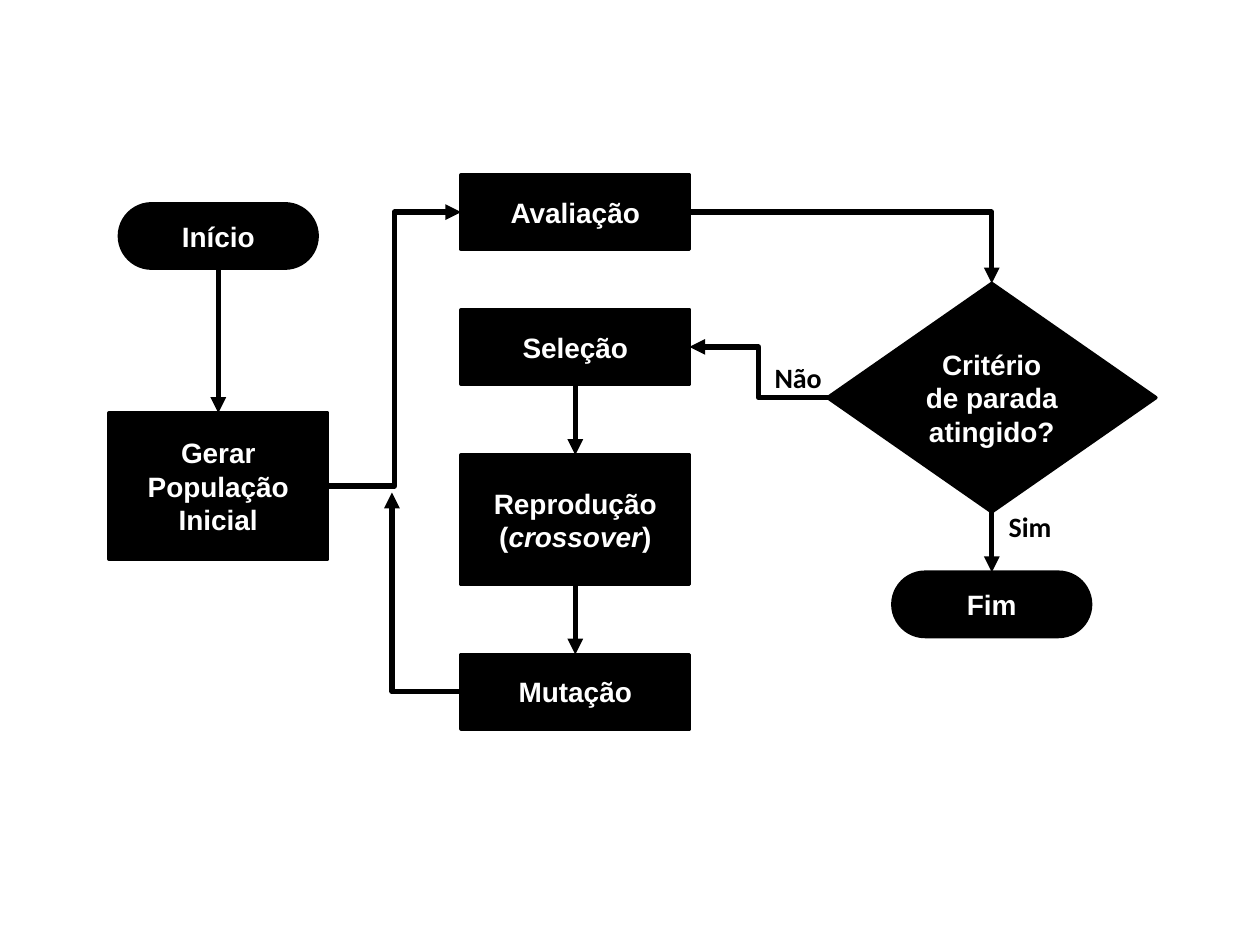
"""Flowchart of a genetic algorithm, from the initial population to the stopping test."""
from lxml import etree
from pptx import Presentation
from pptx.dml.color import RGBColor
from pptx.enum.shapes import MSO_CONNECTOR, MSO_SHAPE
from pptx.enum.text import MSO_ANCHOR, PP_ALIGN
from pptx.oxml.ns import qn
from pptx.util import Pt

PROCESS = MSO_SHAPE.FLOWCHART_PROCESS
DECISION = MSO_SHAPE.FLOWCHART_DECISION
TERMINAL = MSO_SHAPE.ROUNDED_RECTANGLE
STRAIGHT, ELBOW = MSO_CONNECTOR.STRAIGHT, MSO_CONNECTOR.ELBOW
MIDDLE, CENTER = MSO_ANCHOR.MIDDLE, PP_ALIGN.CENTER
TOP, LEFT, BOTTOM, RIGHT = range(4)

COLORS = {"ink": "000000", "paper": "FFFFFF"}
TERMINAL_SIZE = (113, 36.75)
STEP_HEIGHT = 42.5


def color(name):
    return RGBColor.from_string(COLORS[name])


def write(paragraph, runs, font, color_name):
    for text, italic in runs:
        run = paragraph.add_run()
        run.text = text
        if italic:
            run.font.italic = True
    paragraph.font.name = font
    paragraph.font.size = Pt(16)
    paragraph.font.bold = True
    paragraph.font.color.rgb = color(color_name)


def node(slide, kind, center, top, width, height, *runs):
    shape = slide.shapes.add_shape(
        kind, Pt(center - width / 2), Pt(top), Pt(width), Pt(height))
    shape.shadow.inherit = False
    shape.fill.solid()
    shape.fill.fore_color.rgb = color("ink")
    shape.line.color.rgb = color("ink")
    shape.line.width = Pt(2)
    if kind == TERMINAL:
        shape.adjustments[0] = 0.5
    frame = shape.text_frame
    frame.word_wrap = True
    frame.vertical_anchor = MIDDLE
    frame.paragraphs[0].alignment = CENTER
    write(frame.paragraphs[0], runs, "Arial", "paper")
    return shape


def label(slide, left, top, width, text):
    frame = slide.shapes.add_textbox(Pt(left), Pt(top), Pt(width), Pt(26.5)).text_frame
    frame.word_wrap = True
    write(frame.paragraphs[0], [(text, False)], "Calibri", "ink")


def arrow(slide, kind, source, source_side, target=None, target_side=None,
          tip=(0, 0), one_bend=False):
    link = slide.shapes.add_connector(kind, 0, 0, Pt(tip[0]), Pt(tip[1]))
    link.begin_connect(source, source_side)
    if target is not None:
        link.end_connect(target, target_side)
    link.line.color.rgb = color("ink")
    link.line.width = Pt(3)
    properties = link._element.spPr
    if one_bend:
        properties.find(qn("a:prstGeom")).set("prst", "bentConnector2")
    etree.SubElement(properties.find(qn("a:ln")), qn("a:tailEnd"), type="triangle")
    etree.SubElement(properties, qn("a:effectLst"))


def start_region(slide, left, top, width):
    center = left + width / 2
    start = node(slide, TERMINAL, center, top, *TERMINAL_SIZE, ("Início", False))
    population = node(slide, PROCESS, center, top + 119.5, width, 83.5,
                      ("Gerar População Inicial", False))
    arrow(slide, STRAIGHT, start, BOTTOM, population, TOP)
    return population


def cycle_region(slide, left, top, width):
    center = left + width / 2
    evaluation = node(slide, PROCESS, center, top, width, STEP_HEIGHT, ("Avaliação", False))
    selection = node(slide, PROCESS, center, top + 77, width, STEP_HEIGHT, ("Seleção", False))
    crossover = node(slide, PROCESS, center, top + 160, width, 74,
                     ("Reprodução (", False), ("crossover", True), (")", False))
    mutation = node(slide, PROCESS, center, top + 274, width, STEP_HEIGHT, ("Mutação", False))
    arrow(slide, STRAIGHT, selection, BOTTOM, crossover, TOP)
    arrow(slide, STRAIGHT, crossover, BOTTOM, mutation, TOP)
    arrow(slide, ELBOW, mutation, LEFT, tip=(left - 39.5, top + 181.5), one_bend=True)
    return evaluation, selection


def stop_region(slide, left, top, width):
    center = left + width / 2
    criterion = node(slide, DECISION, center, top, width, 130.5,
                     ("Critério de parada atingido?", False))
    end = node(slide, TERMINAL, center, top + 165, *TERMINAL_SIZE, ("Fim", False))
    arrow(slide, STRAIGHT, criterion, BOTTOM, end, TOP)
    label(slide, center + 2.5, top + 125.5, 85, "Sim")
    label(slide, left - 37.5, top + 40.5, 73.5, "Não")
    return criterion


def flowchart(slide):
    population = start_region(slide, 62.25, 116.5, 125)
    evaluation, selection = cycle_region(slide, 263.5, 100, 130.5)
    criterion = stop_region(slide, 473, 162, 187.5)
    arrow(slide, ELBOW, population, RIGHT, evaluation, LEFT)
    arrow(slide, ELBOW, evaluation, RIGHT, criterion, TOP, one_bend=True)
    arrow(slide, ELBOW, criterion, LEFT, selection, RIGHT)


deck = Presentation()
deck.slide_width, deck.slide_height = Pt(720), Pt(540)
flowchart(deck.slides.add_slide(deck.slide_layouts[6]))
deck.save("out.pptx")
